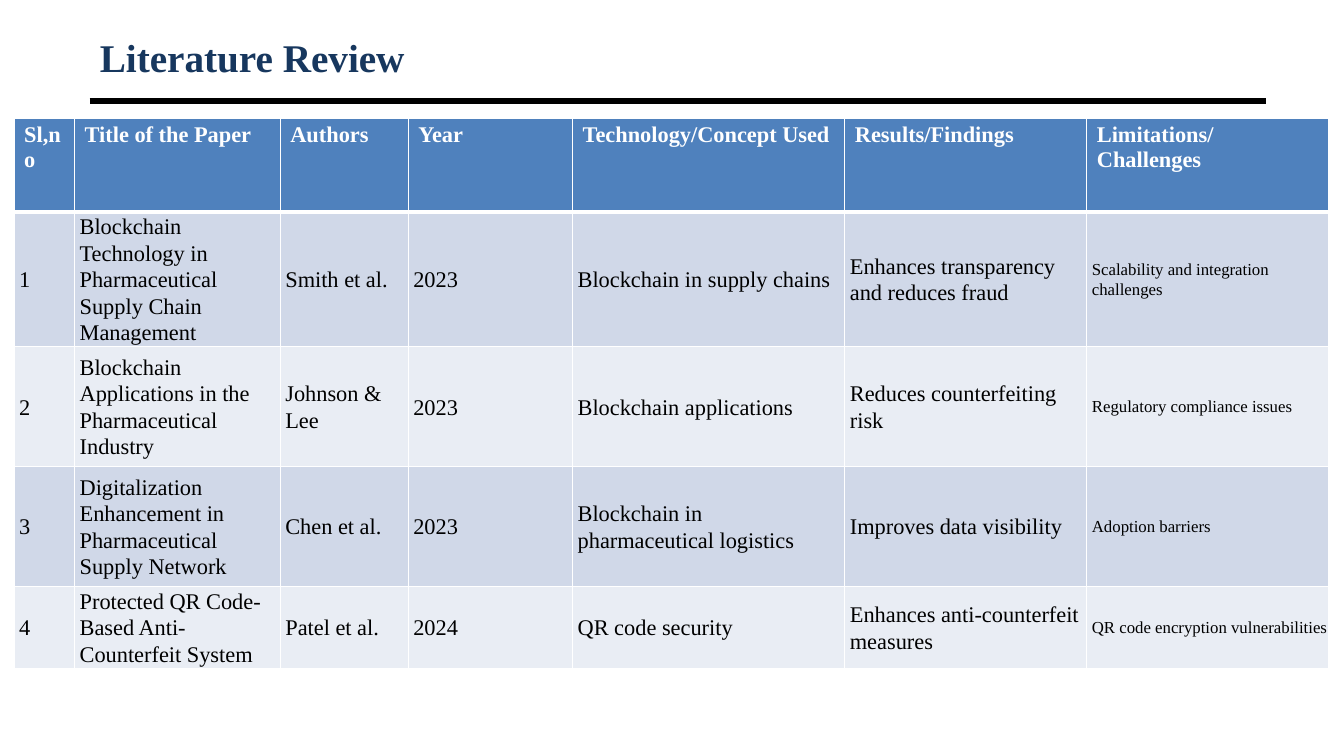
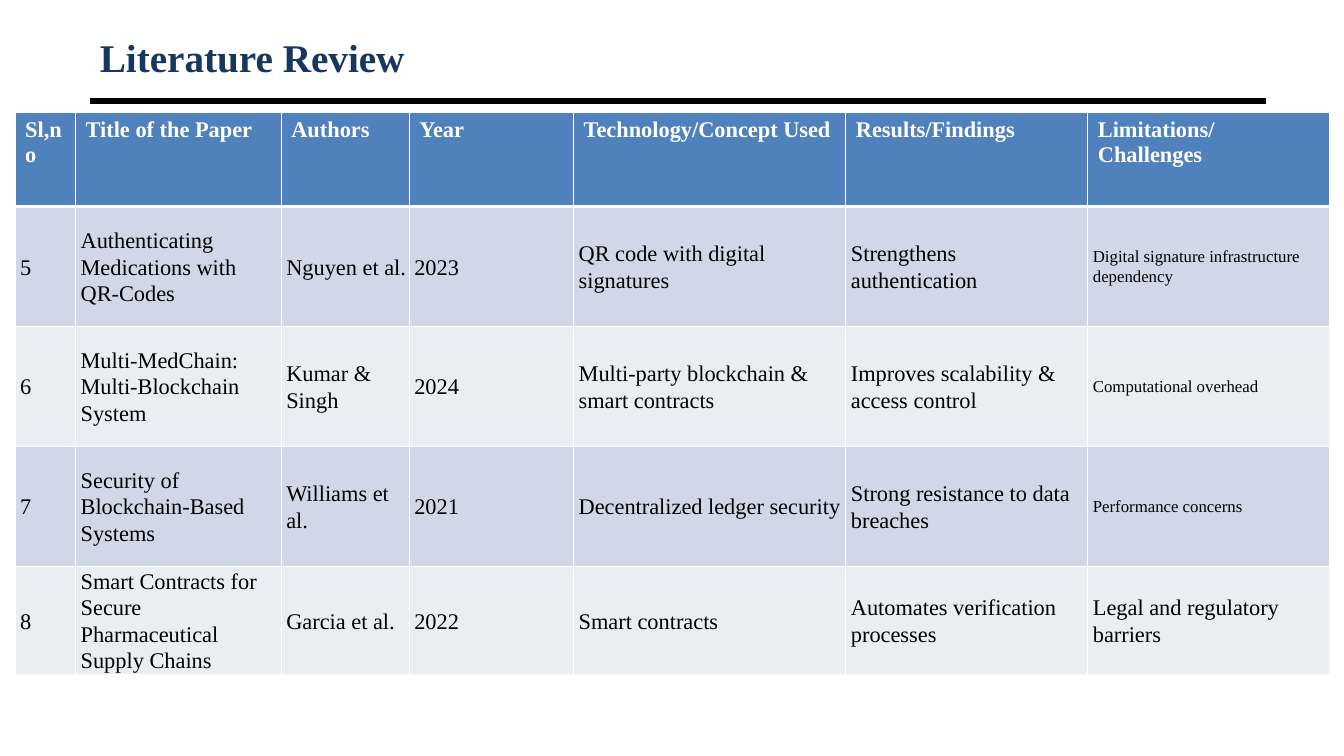
from dataclasses import dataclass

from lxml import etree
from pptx import Presentation
from pptx import util as u
from pptx.dml.color import RGBColor
from pptx.enum import shapes, text
from pptx.oxml import ns

PX = 9144


@dataclass(frozen=True)
class Theme:
    font: str = "Times New Roman"
    title: str = "17375E"
    rule: str = "000000"
    header: str = "4F81BD"
    header_text: str = "FFFFFF"
    body_text: str = "000000"
    border: str = "FFFFFF"
    bands: tuple = ("D0D8E8", "E9EDF4")
    title_size: int = 28
    table_size: int = 16
    note_size: int = 12


T = Theme()
SLIDE_W, SLIDE_H = 1333, 750
TITLE_BOX = (89, 30, 1167, 53)
RULE_GAP = 17
COLUMNS = (60, 204, 127, 163, 270, 240, 240)
HEADER_H = 93
ROWS = (119, 119, 119, 81)
HEADINGS = ("Sl,no", "Title of the Paper", "Authors", "Year",
            "Technology/Concept Used", "Results/Findings", "Limitations/\nChallenges")

REVIEWS = (
    dict(
        at=(14, 117),
        note_sizes=(T.note_size,) * 4,
        papers=(
            ("1", "Blockchain Technology in Pharmaceutical Supply Chain Management",
             "Smith et al.", "2023", "Blockchain in supply chains",
             "Enhances transparency and reduces fraud",
             "Scalability and integration challenges"),
            ("2", "Blockchain Applications in the Pharmaceutical Industry",
             "Johnson & Lee", "2023", "Blockchain applications",
             "Reduces counterfeiting risk", "Regulatory compliance issues"),
            ("3", "Digitalization Enhancement in Pharmaceutical Supply Network",
             "Chen et al.", "2023", "Blockchain in pharmaceutical logistics",
             "Improves data visibility", "Adoption barriers"),
            ("4", "Protected QR Code-Based Anti-Counterfeit System",
             "Patel et al.", "2024", "QR code security",
             "Enhances anti-counterfeit measures",
             "QR code encryption vulnerabilities"),
        ),
    ),
    dict(
        at=(15, 112),
        note_sizes=(T.note_size,) * 3 + (T.table_size,),
        papers=(
            ("5", "Authenticating Medications with QR-Codes",
             "Nguyen et al.", "2023", "QR code with digital signatures",
             "Strengthens authentication",
             "Digital signature infrastructure dependency"),
            ("6", "Multi-MedChain: Multi-Blockchain System",
             "Kumar & Singh", "2024", "Multi-party blockchain & smart contracts",
             "Improves scalability & access control", "Computational overhead"),
            ("7", "Security of Blockchain-Based Systems",
             "Williams et al.", "2021", "Decentralized ledger security",
             "Strong resistance to data breaches", "Performance concerns"),
            ("8", "Smart Contracts for Secure Pharmaceutical Supply Chains",
             "Garcia et al.", "2022", "Smart contracts",
             "Automates verification processes", "Legal and regulatory barriers"),
        ),
    ),
)


def px(*lengths):
    return [u.Emu(n * PX) for n in lengths]


def rgb(color):
    return RGBColor.from_string(color)


def format_runs(tf, size, color, bold):
    for p in tf.paragraphs:
        for r in p.runs:
            r.font.name = T.font
            r.font.size = u.Pt(size)
            r.font.bold = bold
            r.font.color.rgb = rgb(color)


def add_title(s, box, title):
    sp = s.shapes.title
    sp.left, sp.top, sp.width, sp.height = px(*box)
    tf = sp.text_frame
    tf.text = title
    tf.auto_size = text.MSO_AUTO_SIZE.NONE
    tf.vertical_anchor = text.MSO_ANCHOR.MIDDLE
    tf.paragraphs[0].alignment = text.PP_ALIGN.LEFT
    format_runs(tf, T.title_size, T.title, True)


def add_rule(s, box):
    x, y, w, h = box
    y += h + RULE_GAP
    line = s.shapes.add_connector(shapes.MSO_CONNECTOR.STRAIGHT, *px(x, y, x + w, y))
    line.line.color.rgb = rgb(T.rule)
    line.line.width = u.Pt(4.5)
    etree.SubElement(line.element.spPr, ns.qn("a:effectLst"))


def set_borders(cell, bottom):
    tcPr = cell._tc.get_or_add_tcPr()
    for side, width in (("L", 1), ("R", 1), ("T", 1), ("B", bottom)):
        ln = etree.SubElement(tcPr, ns.qn("a:ln" + side), w=str(u.Pt(width)))
        fill = etree.SubElement(ln, ns.qn("a:solidFill"))
        etree.SubElement(fill, ns.qn("a:srgbClr"), val=T.border)


def set_cell(cell, value, fill, bottom=1):
    cell.text_frame.text = value
    set_borders(cell, bottom)
    cell.fill.solid()
    cell.fill.fore_color.rgb = rgb(fill)


def fill_header(cell, value):
    set_cell(cell, value, T.header, bottom=3)
    format_runs(cell.text_frame, T.table_size, T.header_text, True)


def fill_body(cell, value, fill, size):
    set_cell(cell, value, fill)
    cell.vertical_anchor = text.MSO_ANCHOR.MIDDLE
    inset, indent = px(1, 4)
    cell.margin_left = cell.margin_right = inset
    cell.margin_top = cell.margin_bottom = inset
    p = cell.text_frame.paragraphs[0]
    p.line_spacing = 1.07
    p.space_after = u.Pt(8)
    pPr = p._p.get_or_add_pPr()
    pPr.set("marL", str(indent))
    pPr.set("indent", "0")
    format_runs(cell.text_frame, size, T.body_text, False)


def add_papers(s, at, papers, note_sizes):
    heights = (HEADER_H,) + ROWS
    frame = s.shapes.add_table(len(heights), len(COLUMNS),
                               *px(*at, sum(COLUMNS), sum(heights)))
    table = frame.table
    table.horz_banding = False
    for column, width in zip(table.columns, px(*COLUMNS)):
        column.width = width
    for row, height in zip(table.rows, px(*heights)):
        row.height = height
    for c, heading in enumerate(HEADINGS):
        fill_header(table.cell(0, c), heading)
    for i, (paper, note_size) in enumerate(zip(papers, note_sizes)):
        sizes = [T.table_size] * (len(paper) - 1) + [note_size]
        for c, (value, size) in enumerate(zip(paper, sizes)):
            fill_body(table.cell(i + 1, c), value, T.bands[i % 2], size)


def add_review_slide(prs, at, papers, note_sizes):
    s = prs.slides.add_slide(prs.slide_layouts.get_by_name("Title Only"))
    add_title(s, TITLE_BOX, "Literature Review")
    add_rule(s, TITLE_BOX)
    add_papers(s, at, papers, note_sizes)


def main():
    prs = Presentation()
    prs.slide_width, prs.slide_height = px(SLIDE_W, SLIDE_H)
    for review in REVIEWS:
        add_review_slide(prs, **review)
    prs.save("out.pptx")


if __name__ == "__main__":
    main()
